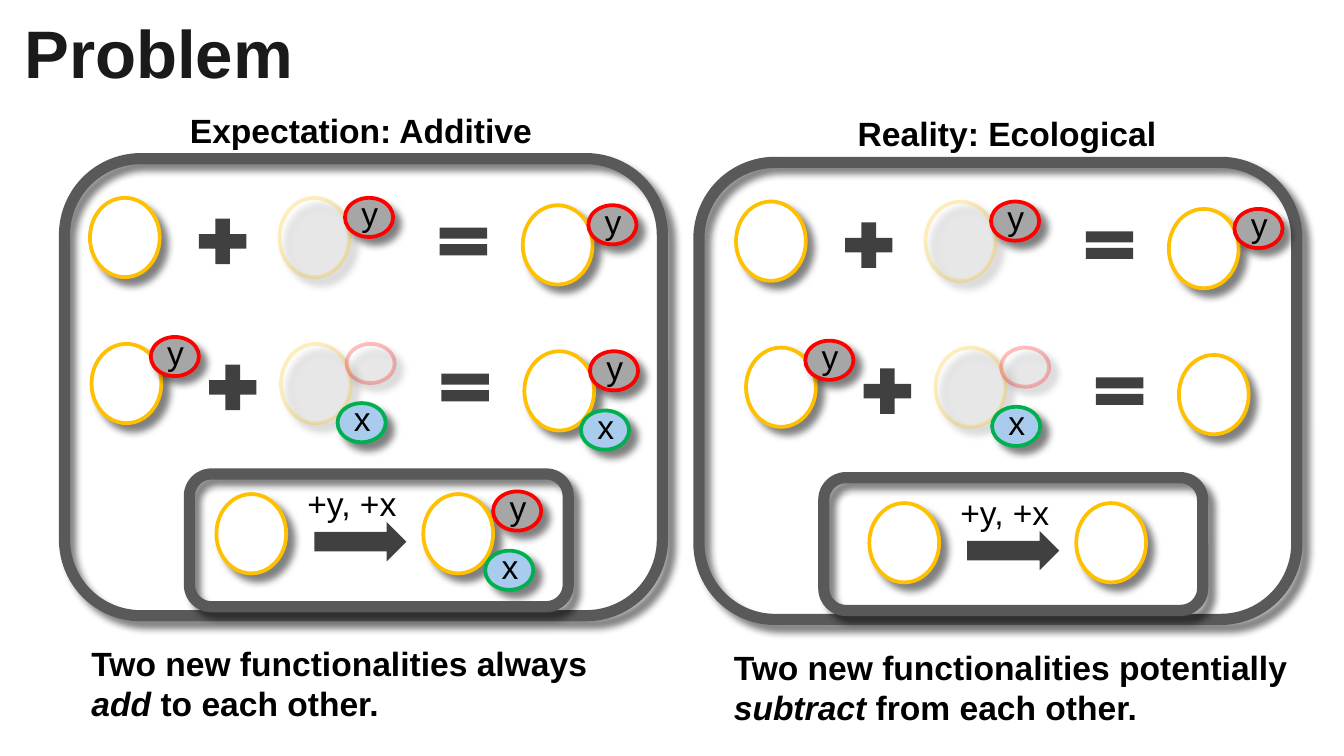
from dataclasses import dataclass

from lxml import etree
from pptx import Presentation
from pptx.dml.color import RGBColor
from pptx.enum.shapes import MSO_SHAPE
from pptx.enum.text import MSO_ANCHOR, MSO_AUTO_SIZE, PP_ALIGN
from pptx.oxml.ns import qn
from pptx.util import Cm, Pt

OVAL, ROUND = MSO_SHAPE.OVAL, MSO_SHAPE.ROUNDED_RECTANGLE
PLUS, EQUAL, ARROW = MSO_SHAPE.MATH_PLUS, MSO_SHAPE.MATH_EQUAL, MSO_SHAPE.RIGHT_ARROW
LEFT, BOTTOM = PP_ALIGN.LEFT, MSO_ANCHOR.BOTTOM
FIT, FIXED = MSO_AUTO_SIZE.SHAPE_TO_FIT_TEXT, MSO_AUTO_SIZE.NONE


@dataclass(frozen=True)
class Theme:
    font: str = "Arial"
    title: int = 36
    body: int = 18
    ink: str = "000000"
    head: str = "1A1A1A"
    frame: str = "595959"
    sign: str = "404040"
    white: str = "FFFFFF"
    gold: str = "FFC000"
    red: str = "FF0000"
    grey: str = "A6A6A6"
    green: str = "00B050"
    blue: str = "A9CCEE"
    thick: int = 6
    thin: int = 2
    ghost: int = 25     # opacity in percent
    inset: float = 0.13


T = Theme()
BADGE = {"y": (T.grey, T.red), "x": (T.blue, T.green)}
RING_W, RING_H = 1.32, 1.5
BADGE_W, BADGE_H = 0.91, 0.74


# Basic parts
def place(item, x, y, w, h):
    item.left, item.top, item.width, item.height = Cm(x), Cm(y), Cm(w), Cm(h)


def style(para, size, color, bold=False):
    for run in para.runs:
        font = run.font
        font.name, font.size, font.bold = T.font, Pt(size), bold
        font.color.rgb = RGBColor.from_string(color)


def pad(frame):
    frame.margin_left = frame.margin_right = Cm(T.inset)
    frame.margin_top = frame.margin_bottom = Cm(T.inset)


def label(slide, box, parts, bold=False, wrap=False):
    """Write text parts; every second part is italic."""
    frame = slide.shapes.add_textbox(*map(Cm, box)).text_frame
    pad(frame)
    frame.word_wrap, frame.auto_size = wrap, FIT
    para = frame.paragraphs[0]
    for i, part in enumerate(parts):
        run = para.add_run()
        run.text = part
        run.font.italic = i % 2 == 1
    style(para, T.body, T.ink, bold)


def draw(slide, kind, box, fill=None, line=None, width=T.thin, alpha=None):
    item = slide.shapes.add_shape(kind, *map(Cm, box))
    item.shadow.inherit = False
    if fill:
        item.fill.solid()
        item.fill.fore_color.rgb = RGBColor.from_string(fill)
    else:
        item.fill.background()
    if not line:
        item.line.fill.background()
        return
    item.line.color.rgb = RGBColor.from_string(line)
    item.line.width = Pt(width)
    props = item._element.spPr
    if alpha:
        for tone in props.iter(qn("a:srgbClr")):
            etree.SubElement(tone, qn("a:alpha"), val=str(alpha * 1000))
    # Outlined shapes cast a soft shadow to the lower right
    cast = etree.SubElement(props.find(qn("a:effectLst")), qn("a:outerShdw"),
                            blurRad=str(Pt(4)), dist=str(Pt(5)),
                            dir=str(45 * 60000), algn="tl", rotWithShape="0")
    tone = etree.SubElement(cast, qn("a:srgbClr"), val=T.ink)
    etree.SubElement(tone, qn("a:alpha"), val="50000")


def ring(slide, x, y, alpha=None):
    draw(slide, OVAL, (x, y, RING_W, RING_H), T.white, T.gold, alpha=alpha)


def badge(slide, name, x, y):
    fill, line = BADGE[name]
    draw(slide, OVAL, (x, y, BADGE_W, BADGE_H), fill, line)
    label(slide, (x + 0.18, y - 0.22, 0.58, 1.02), [name])


def cell(slide, x, y, names, spots):
    """Draw a ring with its badges at the given offsets."""
    ring(slide, x, y)
    for name in names:
        dx, dy = spots[name]
        badge(slide, name, x + dx, y + dy)


# One equation: ring + change = result
def equation(slide, x, y, start, gain, result, gap):
    spots = {"y": (1.24, 0), "x": (1.07, 1.12)}
    cell(slide, x, y, start, {"y": (1.12, -0.13)})
    draw(slide, PLUS, (x + gap, y + 0.24, 1.22, 1.17), T.sign)
    ghost = x + 3.58
    ring(slide, ghost, y, T.ghost)
    for name in start:
        dx, dy = spots[name]
        draw(slide, OVAL, (ghost + dx, y + dy, BADGE_W, BADGE_H),
             T.white, T.red, alpha=T.ghost)
    dx, dy = spots[gain]
    badge(slide, gain, ghost + dx, y + dy)
    draw(slide, EQUAL, (x + 6.45, y + 0.38, 1.22, 0.89), T.sign)
    cell(slide, x + 8.18, y + 0.14, result, spots)


# Summary frame: ring, arrow, outcome
def summary(slide, box, shift, result):
    x, y = box[0] + shift[0], box[1] + shift[1]
    ring(slide, x, y)
    draw(slide, ARROW, (x + 1.85, y + 0.53, 1.74, 0.74), T.sign)
    label(slide, (x + 1.59, y - 0.35, 2.01, 1.02), ["+y, +x"])
    cell(slide, x + 3.91, y, result, {"y": (1.32, -0.05), "x": (1.17, 1.07)})
    draw(slide, ROUND, box, line=T.frame, width=T.thick)


# One panel with heading, two equations, summary and caption
def panel(slide, box, head, span, rows, total, shift, result, note, edge):
    x, y, w, h = box
    draw(slide, ROUND, box, line=T.frame, width=T.thick)
    label(slide, (x + span[0], y - 1.06, span[1], 1.02), [head], bold=True)
    equation(slide, x + rows[0], y + 0.74, "", "y", "y", 1.9)
    equation(slide, x + rows[1], y + 3.5, "y", "x", total, 2.06)
    summary(slide, (x + 2.36, y + 5.96, 7.16, 2.51), shift, result)
    label(slide, (x + edge[0], y + h + 0.38, edge[1], 1.8), note, True, True)


def heading(slide, box, text):
    title = slide.shapes.title
    place(title, *box)
    frame = title.text_frame
    frame.text = text
    pad(frame)
    frame.vertical_anchor, frame.auto_size = BOTTOM, FIXED
    para = frame.paragraphs[0]
    para.alignment = LEFT
    style(para, T.title, T.head, True)


def main():
    deck = Presentation()
    deck.slide_width, deck.slide_height = Cm(25.4), Cm(14.29)
    slide = deck.slides.add_slide(deck.slide_layouts[5])
    heading(slide, (0.33, 0.23, 22.86, 1.63), "Problem")
    panel(slide, (1.22, 3, 11.3, 8.64), "Expectation: Additive", (2.24, 6.81),
          (0.48, 0.51), "yx", (0.51, 0.38), "yx",
          ["Two new functionalities always ", "add", " to each other."],
          (0.38, 10.8))
    panel(slide, (13.21, 3.07, 11.3, 8.64), "Reality: Ecological", (2.87, 5.94),
          (0.7, 0.89), "", (0.86, 0.48), "",
          ["Two new functionalities potentially ", "subtract",
           " from each other."], (0.53, 10.92))
    deck.save("out.pptx")


if __name__ == "__main__":
    main()
